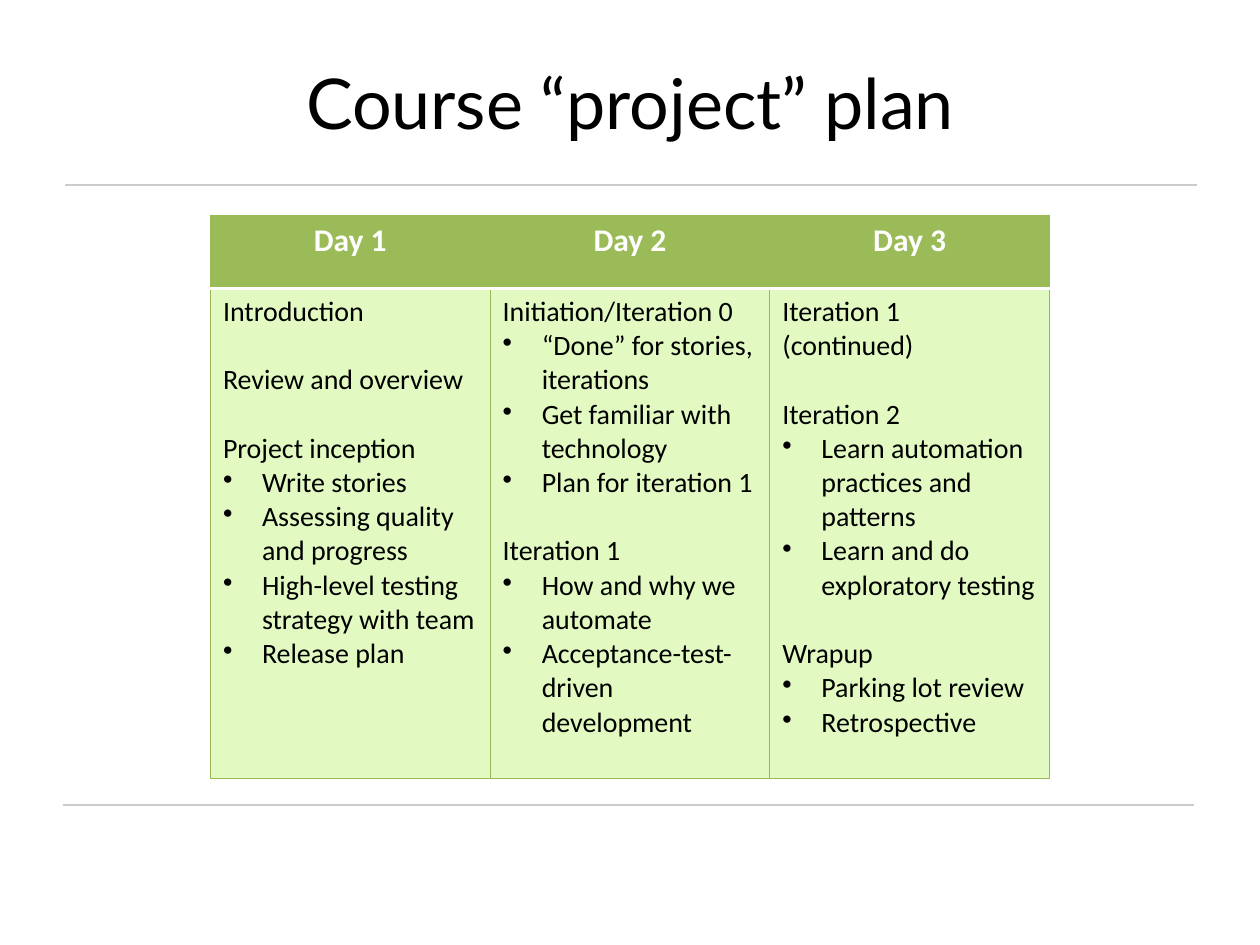
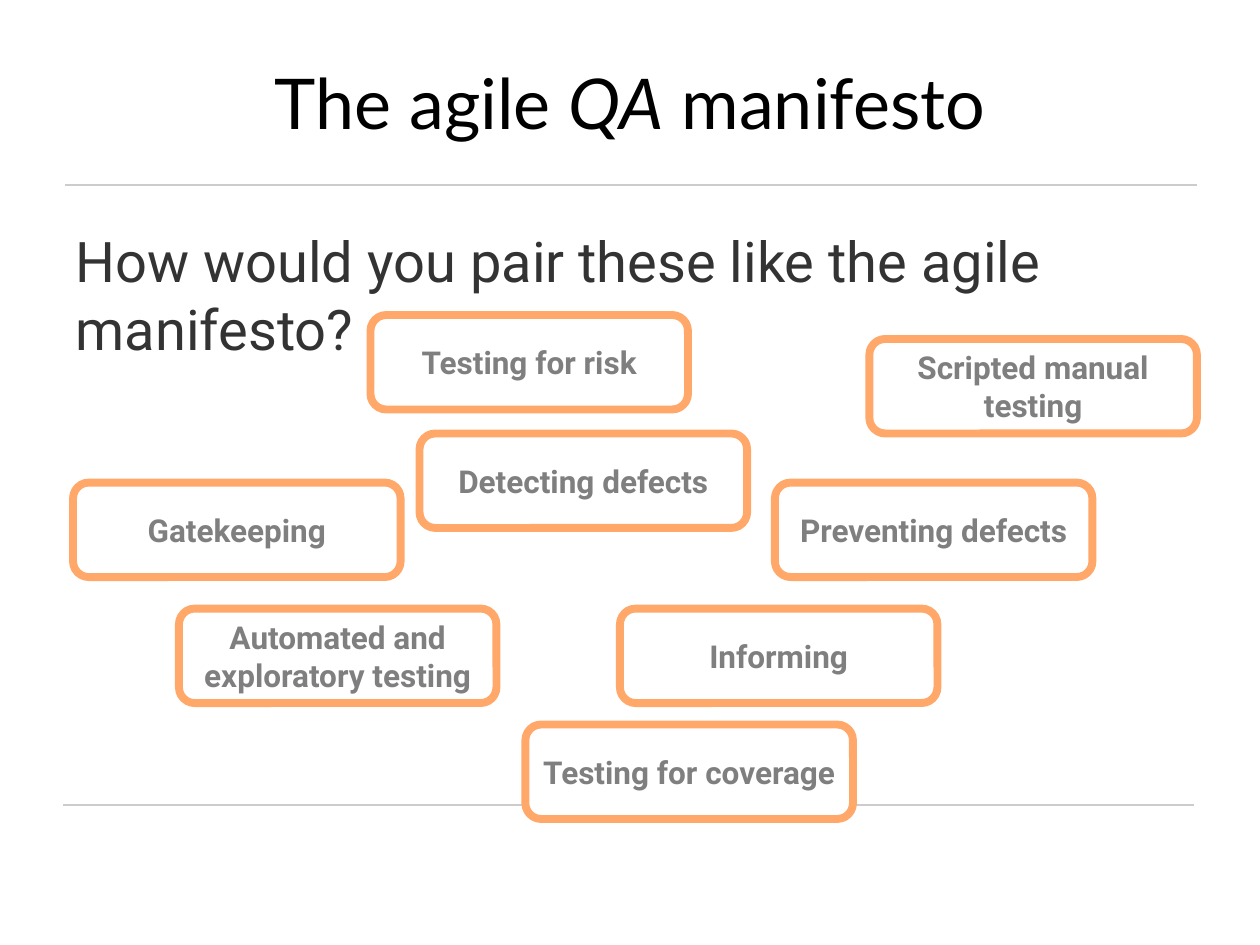
from dataclasses import dataclass

from lxml import etree
from pptx import Presentation
from pptx.dml.color import RGBColor
from pptx.enum.shapes import MSO_CONNECTOR, MSO_SHAPE
from pptx.enum.text import MSO_ANCHOR, PP_ALIGN
from pptx.oxml.ns import qn
from pptx.util import Inches, Pt

CENTER, LEFT = PP_ALIGN.CENTER, PP_ALIGN.LEFT
MIDDLE, TOP = MSO_ANCHOR.MIDDLE, MSO_ANCHOR.TOP
STRAIGHT, ROUND = MSO_CONNECTOR.STRAIGHT, MSO_SHAPE.ROUNDED_RECTANGLE
TITLE_BODY, TITLE_ONLY = 1, 5


@dataclass(frozen=True)
class Theme:
    ink: str = "000000"
    prose: str = "333333"
    label: str = "7F7F7F"
    paper: str = "FFFFFF"
    rule: str = "CCCCCC"
    head: str = "9BBB59"
    cell: str = "E2FAC2"
    edge: str = "98B955"
    frame: str = "FFA86A"
    title_font: str = "Lato"
    grid_font: str = "Calibri"
    card_font: str = "Roboto"
    title_size: float = 40
    body_size: float = 32
    head_size: float = 18
    cell_size: float = 16
    topic_gap: float = 19.5


THEME = Theme()

TITLE_BOX = (0.5, 0.3, 9, 1.01)
RULES = [(0.5, 6.39), (0.52, 1.47)]
RULE_WIDTH = 8.98

DAYS = {
    "Day 1": [
        ("Introduction", []),
        ("Review and overview", []),
        ("Project inception", [
            "Write stories",
            "Assessing quality and progress",
            "High-level testing strategy with team",
            "Release plan",
        ]),
    ],
    "Day 2": [
        ("Initiation/Iteration 0", [
            "“Done” for stories, iterations",
            "Get familiar with technology",
            "Plan for iteration 1",
        ]),
        ("Iteration 1", [
            "How and why we automate",
            "Acceptance-test-driven development",
        ]),
    ],
    "Day 3": [
        ("Iteration 1 (continued)", []),
        ("Iteration 2", [
            "Learn automation practices and patterns",
            "Learn and do exploratory testing",
        ]),
        ("Wrapup", ["Parking lot review", "Retrospective"]),
    ],
}

NARROW, WIDE, CARD_HEIGHT = 2.52, 2.6, 0.75
CARDS = [
    ("Automated and exploratory testing", 1.42, 4.83, NARROW),
    ("Testing for coverage", 4.17, 5.75, WIDE),
    ("Preventing defects", 6.15, 3.83, NARROW),
    ("Detecting defects", 3.33, 3.44, WIDE),
    ("Informing", 4.92, 4.83, NARROW),
    ("Scripted manual testing", 6.9, 2.69, WIDE),
    ("Testing for risk", 2.94, 2.5, NARROW),
    ("Gatekeeping", 0.58, 3.83, WIDE),
]


def rgb(code):
    return RGBColor.from_string(code)


def style(part, name, size, color, bold=False):
    """Format the font of a run or a paragraph."""
    font = part.font
    font.name, font.size, font.bold = name, Pt(size), bold
    font.color.rgb = rgb(color)


def place(shape, box):
    left, top, width, height = map(Inches, box)
    shape.left, shape.top = left, top
    shape.width, shape.height = width, height


def indent(para, depth, mark=None):
    """Give a paragraph a hanging bullet, or none."""
    props = para._p.get_or_add_pPr()
    props.set("marL", str(Inches(depth)))
    props.set("indent", str(-Inches(depth)))
    if mark:
        etree.SubElement(props, qn("a:buChar")).set("char", mark)
    else:
        etree.SubElement(props, qn("a:buNone"))


def add_rules(deck, slide):
    """Draw the two grey rules and hand them to the slide master."""
    for index, (left, top) in enumerate(RULES):
        line = slide.shapes.add_connector(
            STRAIGHT, Inches(left), Inches(top),
            Inches(left + RULE_WIDTH), Inches(top))
        line.line.color.rgb = rgb(THEME.rule)
        line.line.width = Pt(1)
        etree.SubElement(line.element.spPr, qn("a:effectLst"))
        line.element.nvCxnSpPr.cNvPr.id = 100 + index
        deck.slide_master.shapes.element.append(line.element)


def add_title(slide, parts):
    """Fill the title from (text, italic) parts."""
    title = slide.shapes.title
    place(title, TITLE_BOX)
    frame = title.text_frame
    frame.vertical_anchor = MIDDLE
    para = frame.paragraphs[0]
    para.alignment = CENTER
    for text, slant in parts:
        run = para.add_run()
        run.text = text
        style(run, THEME.title_font, THEME.title_size, THEME.ink)
        run.font.italic = slant


def set_edges(cell, edges):
    """Set cell borders from a map of side to (colour, points)."""
    props = cell._tc.get_or_add_tcPr()
    for index, side in enumerate("LRTB"):
        color, width = edges[side]
        line = etree.Element(qn("a:ln" + side), w=str(Pt(width)))
        fill = etree.SubElement(line, qn("a:solidFill"))
        etree.SubElement(fill, qn("a:srgbClr")).set("val", color)
        props.insert(index, line)


def paint(cell, color, thick):
    cell.fill.solid()
    cell.fill.fore_color.rgb = rgb(color)
    cell.vertical_anchor = TOP
    edges = dict.fromkeys("LRTB", (THEME.edge, 0.75))
    edges[thick] = (THEME.paper, 2)
    set_edges(cell, edges)


def fill_day(cell, topics):
    rows = [(text, level, index > 0 and level == 0)
            for index, (head, items) in enumerate(topics)
            for level, text in [(0, head)] + [(1, item) for item in items]]
    frame = cell.text_frame
    for index, (text, level, gap) in enumerate(rows):
        para = frame.add_paragraph() if index else frame.paragraphs[0]
        para.text = text
        para.alignment = LEFT
        if gap:
            para.space_before = Pt(THEME.topic_gap)
        if level:
            indent(para, 0.31, "•")
        style(para.runs[0], THEME.grid_font, THEME.cell_size, THEME.ink)


def add_plan(slide, box):
    left, top, width, height = box
    table = slide.shapes.add_table(
        2, len(DAYS), *map(Inches, box)).table
    head_height = 0.58
    table.rows[0].height = Inches(head_height)
    table.rows[1].height = Inches(height - head_height)
    for index, (day, topics) in enumerate(DAYS.items()):
        table.columns[index].width = Inches(width / len(DAYS))
        head, body = table.cell(0, index), table.cell(1, index)
        paint(head, THEME.head, "B")
        paint(body, THEME.cell, "T")
        head.text_frame.text = day
        para = head.text_frame.paragraphs[0]
        para.alignment = CENTER
        style(para.runs[0], THEME.grid_font, THEME.head_size,
              THEME.paper, True)
        fill_day(body, topics)


def add_prompt(slide, box, text):
    body = slide.placeholders[1]
    place(body, box)
    body.text_frame.text = text
    para = body.text_frame.paragraphs[0]
    indent(para, 0)
    para.space_before = Pt(0)
    style(para.runs[0], THEME.card_font, THEME.body_size, THEME.prose)


def add_card(slide, box, text):
    card = slide.shapes.add_shape(ROUND, *map(Inches, box))
    card.adjustments[0] = 0.167
    card.shadow.inherit = False
    card.fill.solid()
    card.fill.fore_color.rgb = rgb(THEME.paper)
    card.line.color.rgb = rgb(THEME.frame)
    card.line.width = Pt(4.5)
    frame = card.text_frame
    frame.word_wrap = True
    frame.vertical_anchor = MIDDLE
    frame.margin_left = frame.margin_right = Inches(0.04)
    frame.margin_top = frame.margin_bottom = Inches(0)
    frame.text = text
    para = frame.paragraphs[0]
    para.alignment = CENTER
    style(para.runs[0], THEME.card_font, THEME.head_size,
          THEME.label, True)


def plan_slide(deck):
    slide = deck.slides.add_slide(deck.slide_layouts[TITLE_ONLY])
    add_rules(deck, slide)
    add_title(slide, [("Course “project” plan", False)])
    add_plan(slide, (1.67, 1.71, 6.66, 4.47))


def pair_slide(deck):
    slide = deck.slides.add_slide(deck.slide_layouts[TITLE_BODY])
    add_title(slide, [("The agile ", False), ("QA", True),
                      (" manifesto", False)])
    add_prompt(slide, (0.5, 1.75, 9, 4.56),
               "How would you pair these like the agile manifesto?")
    for text, left, top, width in CARDS:
        add_card(slide, (left, top, width, CARD_HEIGHT), text)


def main():
    deck = Presentation()
    deck.slide_width, deck.slide_height = Inches(10), Inches(7.5)
    plan_slide(deck)
    pair_slide(deck)
    deck.save("out.pptx")


if __name__ == "__main__":
    main()
